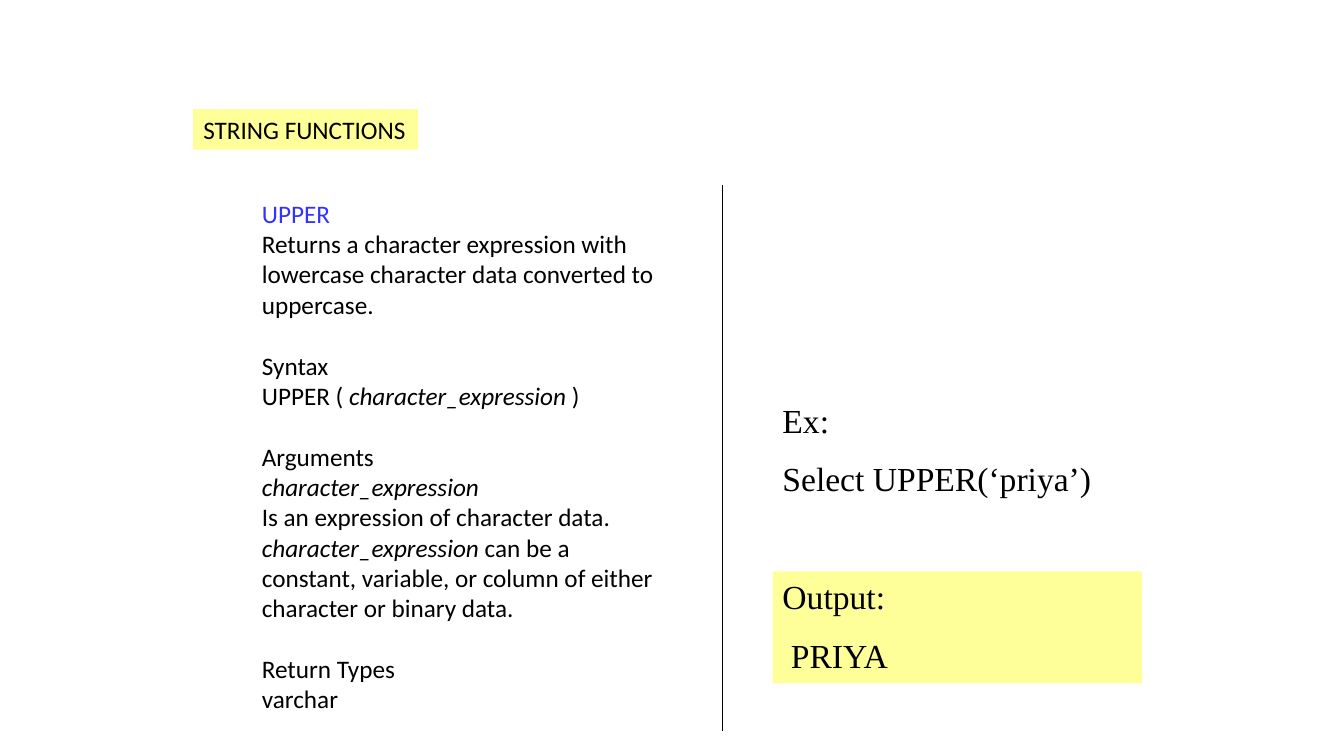
from collections import namedtuple
from dataclasses import dataclass

from lxml.etree import SubElement
from pptx import Presentation
from pptx.dml.color import RGBColor as Rgb
from pptx.enum.shapes import MSO_CONNECTOR as Conn, MSO_SHAPE as Shape
from pptx.enum.text import MSO_ANCHOR as Anchor, MSO_AUTO_SIZE as Fit, PP_ALIGN as Align
from pptx.oxml.ns import qn
from pptx.util import Cm, Pt

Box = namedtuple("Box", "left top width height")


@dataclass(frozen=True)
class Theme:
    ink: Rgb = Rgb(0, 0, 0)
    blue: Rgb = Rgb(0x33, 0x33, 0xFF)
    yellow: Rgb = Rgb(0xFF, 0xFF, 0x99)
    sans: str = "Calibri"
    serif: str = "Times New Roman"
    small: Pt = Pt(18)
    large: Pt = Pt(24)
    line: Pt = Pt(0.75)
    gap: Pt = Pt(22)
    lead: Pt = Pt(13)


THEME = Theme()

TOPICS = [
    [["UPPER"],
     ["Returns a character expression with lowercase character data converted to uppercase."]],
    [["Syntax"],
     ["UPPER ( ", "character_expression ", ")"]],
    [["Arguments"],
     ["", "character_expression"],
     ["Is an expression of character data. ", "character_expression ",
      "can be a constant, variable, or column of either character or binary data."]],
    [["Return Types"],
     ["varchar"]],
]


def lengths(box):
    return [Cm(n) for n in box]


def style(para, name, size, color):
    para.alignment = Align.LEFT
    font = para.font
    font.name, font.size = name, size
    font.color.rgb = color


def paint(shape, color):
    shape.fill.solid()
    shape.fill.fore_color.rgb = color


def setup(frame, wrap=True):
    frame.word_wrap = wrap
    frame.auto_size = Fit.NONE
    frame.vertical_anchor = Anchor.TOP


def next_para(frame, first):
    return frame.paragraphs[0] if first else frame.add_paragraph()


def add_title(slide, box, text):
    title = slide.shapes.title
    title.left, title.top, title.width, title.height = lengths(box)
    paint(title, THEME.yellow)
    frame = title.text_frame
    setup(frame, wrap=False)
    frame.text = text
    style(frame.paragraphs[0], THEME.sans, THEME.small, THEME.ink)


def add_topics(slide, box, topics):
    frame = slide.shapes.add_textbox(*lengths(box)).text_frame
    setup(frame)
    for i, topic in enumerate(topics):
        for j, parts in enumerate(topic):
            first = i == j == 0
            para = next_para(frame, first)
            for k, part in enumerate(parts):
                if part:
                    run = para.add_run()
                    run.text = part
                    if k % 2:
                        run.font.italic = True
            style(para, THEME.sans, THEME.small, THEME.blue if first else THEME.ink)
            if i and not j:
                para.space_before = THEME.gap


def add_rule(slide, box):
    left, top, width, height = lengths(box)
    rule = slide.shapes.add_connector(Conn.STRAIGHT, left, top, left + width, top + height)
    rule.line.color.rgb = THEME.ink
    rule.line.width = THEME.line
    SubElement(rule._element.spPr, qn("a:effectLst"))


def add_sample(slide, box, lines, fill=None):
    if fill is None:
        shape = slide.shapes.add_textbox(*lengths(box))
    else:
        shape = slide.shapes.add_shape(Shape.RECTANGLE, *lengths(box))
        shape.shadow.inherit = False
        shape.line.fill.background()
        paint(shape, fill)
    frame = shape.text_frame
    setup(frame)
    for i, line in enumerate(lines):
        para = next_para(frame, i == 0)
        para.text = line
        style(para, THEME.serif, THEME.large, THEME.ink)
        if i:
            para.space_before = THEME.lead


def main():
    deck = Presentation()
    deck.slide_width, deck.slide_height = Cm(33.87), Cm(19.05)
    slide = deck.slides.add_slide(deck.slide_layouts[5])
    add_title(slide, Box(4.87, 2.75, 5.66, 1.02), "STRING FUNCTIONS")
    add_topics(slide, Box(6.35, 4.87, 10.58, 14.1), TOPICS)
    add_rule(slide, Box(18.2, 4.66, 0, 13.76))
    add_sample(slide, Box(19.47, 9.95, 9.1, 2.82), ["Ex:", "Select UPPER(‘priya’)"])
    add_sample(slide, Box(19.47, 14.4, 9.31, 2.82), ["Output:", " PRIYA"], THEME.yellow)
    deck.save("out.pptx")


if __name__ == "__main__":
    main()
